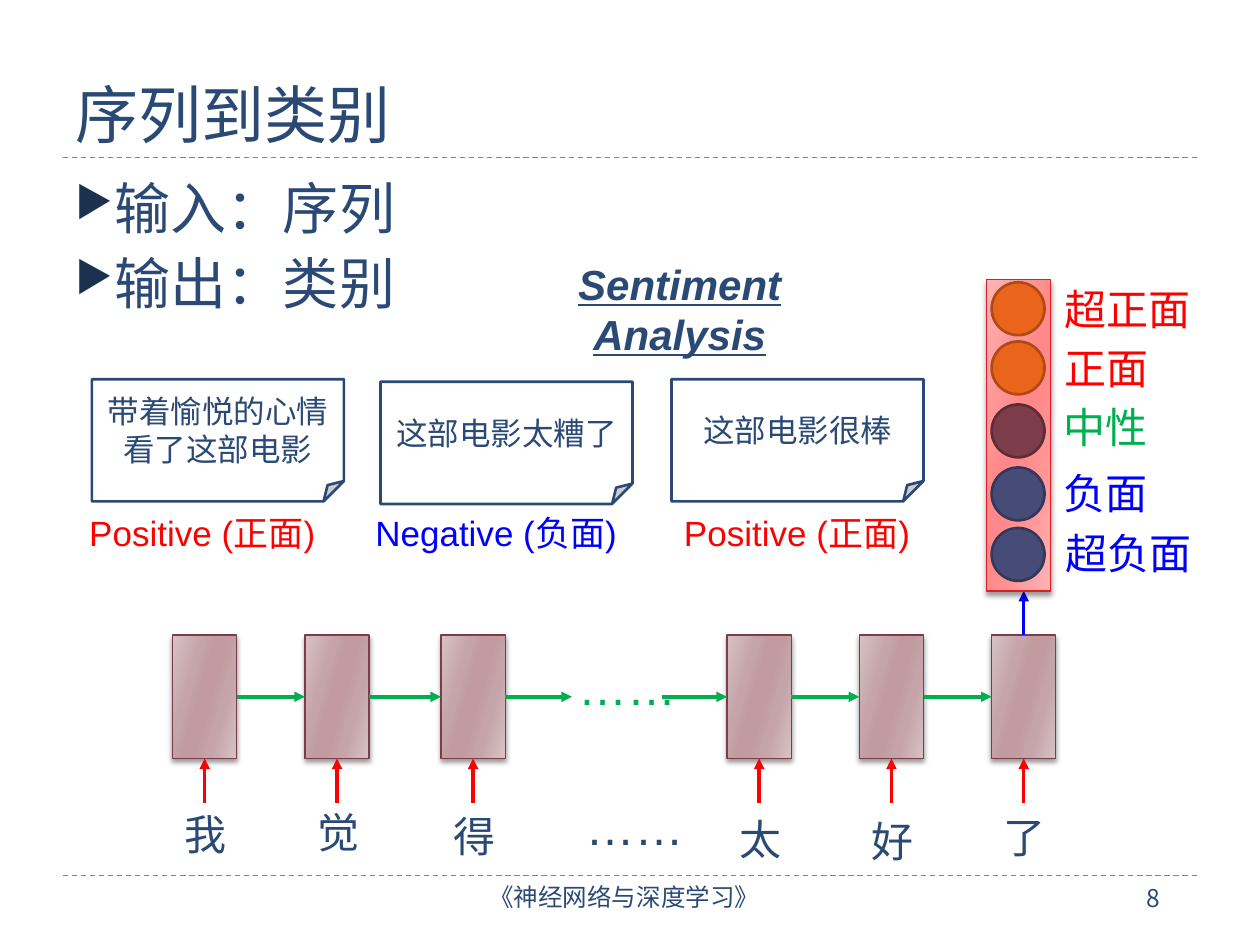
from lxml import etree
from pptx import Presentation
from pptx.dml.color import RGBColor
from pptx.enum import dml, shapes, text
from pptx.oxml.ns import qn
from pptx.util import Inches, Pt

COLORS = {
    "navy": "2A4A75", "bullet": "1C314E", "rule": "EB641B",
    "red": "FF0000", "green": "00B050", "blue": "0000FF", "white": "FFFFFF",
    "cell_line": "7D3C4A", "panel_line": "DA1F28",
    "orange": "EB641B", "orange_line": "AE4A14",
    "wine": "7D3C4A", "wine_line": "5C2C37",
    "indigo": "474B78", "indigo_line": "353759",
}
CELL_TINTS = ("D7C2C5", "C6A5AA", "C19BA0")  # edge, middle, core
PANEL_TINTS = ("FFB5B6", "FF9596", "FF898A")
CJK, LATIN = "Noto Sans CJK SC", "Arial"

TITLE = "序列到类别"
BULLETS = ["输入：序列", "输出：类别"]
HEADING = "Sentiment Analysis"
FOOTER, PAGE = "《神经网络与深度学习》", "8"
DOTS = "……"
# note left, note top, sentence, verdict left, verdict, colour
REVIEWS = [
    (0.73, 3.01, "带着愉悦的心情看了这部电影", 0.61, "Positive (正面)", "red"),
    (3.02, 3.03, "这部电影太糟了", 2.88, "Negative (负面)", "blue"),
    (5.33, 3.01, "这部电影很棒", 5.33, "Positive (正面)", "red"),
]
# cell left, word, word top
WORDS = [
    (1.37, "我", 6.37), (2.42, "觉", 6.35), (3.5, "得", 6.38),
    (5.77, "太", 6.41), (6.82, "好", 6.42), (7.87, "了", 6.39),
]
# label, label left, label top, width, label colour, circle top, circle colour
CLASSES = [
    ("超正面", 8.35, 2.2, 1.21, "red", 2.24, "orange"),
    ("正面", 8.35, 2.67, 0.88, "red", 2.71, "orange"),
    ("中性", 8.34, 3.14, 0.88, "green", 3.21, "wine"),
    ("负面", 8.34, 3.66, 0.88, "blue", 3.71, "indigo"),
    ("超负面", 8.36, 4.14, 1.21, "blue", 4.19, "indigo"),
]
CELL_W, CELL_TOP, CELL_H = 0.51, 5.04, 0.98
GAP_AFTER = 2  # the dots stand after this cell

prs = Presentation()
prs.slide_width, prs.slide_height = Inches(10), Inches(7.5)
slide = prs.slides.add_slide(prs.slide_layouts[6])


def rgb(name):
    return RGBColor.from_string(COLORS[name])


def add_xml(parent, tag, **attributes):
    return etree.SubElement(parent, qn(tag), {k: str(v) for k, v in attributes.items()})


def style(paragraph, size, color, font):
    paragraph.font.size = Pt(size)
    paragraph.font.color.rgb = rgb(color)
    paragraph.font.name = font
    if font == CJK:
        for run in paragraph.runs:
            add_xml(run._r.get_or_add_rPr(), "a:ea", typeface=CJK)


def add_text(lines, box, size, color="navy", font=LATIN, align=None, wrap=True, grow=True):
    frame = slide.shapes.add_textbox(*map(Inches, box)).text_frame
    frame.text = "\n".join(lines) if isinstance(lines, list) else lines
    frame.word_wrap = wrap
    frame.auto_size = text.MSO_AUTO_SIZE.SHAPE_TO_FIT_TEXT if grow else text.MSO_AUTO_SIZE.NONE
    for paragraph in frame.paragraphs:
        style(paragraph, size, color, font)
        paragraph.alignment = align
    return frame


def add_shape(kind, box, line, width, fill=None, parent=slide):
    shape = parent.shapes.add_shape(kind, *map(Inches, box))
    shape.shadow.inherit = False
    shape.line.color.rgb = rgb(line)
    shape.line.width = Pt(width)
    if fill:
        shape.fill.solid()
        shape.fill.fore_color.rgb = rgb(fill)
    return shape


def add_glossy(box, line, tints, parent=slide):
    """Rectangle with a mirrored gradient and a soft shadow below."""
    shape = add_shape(shapes.MSO_SHAPE.RECTANGLE, box, line, 0.75, parent=parent)
    shape.fill.gradient()
    properties = shape._element.spPr
    stops = properties.find(".//" + qn("a:gsLst"))
    stops.clear()
    for position, tint in zip((0, 30, 45, 55, 73, 100), tints + tints[::-1]):
        stop = add_xml(stops, "a:gs", pos=position * 1000)
        add_xml(stop, "a:srgbClr", val=tint)
    properties.find(".//" + qn("a:lin")).set("ang", str(16 * 60000))
    shadow = add_xml(properties.find(qn("a:effectLst")), "a:outerShdw",
                     blurRad=Pt(3), dist=Pt(2), dir=90 * 60000, rotWithShape=0)
    add_xml(add_xml(shadow, "a:srgbClr", val="000000"), "a:alpha", val=40000)
    return shape


def add_line(start, end, color, width):
    line = slide.shapes.add_connector(shapes.MSO_CONNECTOR.STRAIGHT, *map(Inches, start + end))
    line.line.color.rgb = rgb(color)
    line.line.width = Pt(width)
    add_xml(line._element.spPr, "a:effectLst")
    return line


def add_arrow(start, end, color):
    arrow = add_line(start, end, color, 2)
    add_xml(arrow.line._get_or_add_ln(), "a:tailEnd", type="triangle")
    return arrow


# Frame of the page
for rule_y in (1.25, 6.95):
    add_line((0.5, rule_y), (9.5, rule_y), "rule", 0.75).line.dash_style = dml.MSO_LINE.DASH
footer = add_text(FOOTER, (3.33, 6.96, 3.25, 0.4), 14, font=CJK,
                  align=text.PP_ALIGN.CENTER, grow=False)
footer.margin_left = footer.margin_right = Inches(0.07)
footer.margin_top = footer.margin_bottom = Inches(0.04)
add_text(PAGE, (9, 6.96, 0.41, 0.34), 14, font=CJK, wrap=False)
title = add_text(TITLE, (0.5, 0.17, 9, 1.08), 36, font=CJK, grow=False)
title.vertical_anchor = text.MSO_ANCHOR.BOTTOM

body = add_text(BULLETS, (0.5, 1.33, 9, 5.4), 32, font=CJK, grow=False)
for item in body.paragraphs:
    item.space_before = Pt(4.5)
    settings = item._p.get_or_add_pPr()
    settings.set("marL", str(Inches(0.22)))
    settings.set("indent", str(-Inches(0.22)))
    marks = [etree.Element(qn(tag)) for tag in ("a:buClr", "a:buSzPct", "a:buChar")]
    add_xml(marks[0], "a:srgbClr", val=COLORS["bullet"])
    marks[1].set("val", "76000")
    marks[2].set("char", "▶")
    for mark in marks:
        settings.insert(list(settings).index(settings.find(qn("a:defRPr"))), mark)

heading = add_text(HEADING, (3.91, 2, 2.97, 0.5), 24, align=text.PP_ALIGN.CENTER)
heading_font = heading.paragraphs[0].font
heading_font.bold = heading_font.italic = heading_font.underline = True

# Recurrent cells with their words
cells = []
for left, word, word_top in WORDS:
    cell = add_glossy((left, CELL_TOP, CELL_W, CELL_H), "cell_line", CELL_TINTS)
    cells.append(cell)
    middle = left + CELL_W / 2
    add_arrow((middle, 6.37), (middle, CELL_TOP + CELL_H), "red").end_connect(cell, 2)
    add_text(word, (left, word_top, 0.54, 0.5), 24, wrap=False)

chain_y = CELL_TOP + CELL_H / 2
for i, (before, after) in enumerate(zip(cells, cells[1:])):
    start, end = WORDS[i][0] + CELL_W, WORDS[i + 1][0]
    if i == GAP_AFTER:
        add_arrow((start, chain_y), (start + 0.53, chain_y), "green").begin_connect(before, 3)
        add_arrow((end - 0.52, chain_y), (end, chain_y), "green").end_connect(after, 1)
    else:
        arrow = add_arrow((start, chain_y), (end, chain_y), "green")
        arrow.begin_connect(before, 3)
        arrow.end_connect(after, 1)
add_text(DOTS, (4.49, 5.16, 1.21, 0.57), 28, "green")
add_text(DOTS, (4.55, 6.27, 1.21, 0.57), 28)

# Output classes
output_x = WORDS[-1][0] + CELL_W / 2
add_arrow((output_x, CELL_TOP), (output_x, 4.69), "blue").begin_connect(cells[-1], 0)
output = slide.shapes.add_group_shape()
add_glossy((7.83, 2.22, 0.51, 2.47), "panel_line", PANEL_TINTS, output)
for label, left, top, width, color, circle_top, circle in CLASSES:
    add_shape(shapes.MSO_SHAPE.OVAL, (7.87, circle_top, 0.42, 0.42),
              circle + "_line", 1.5, circle, output)
    add_text(label, (left, top, width, 0.5), 24, color, wrap=False)

# Example reviews
for left, top, sentence, verdict_left, verdict, color in REVIEWS:
    note = add_shape(shapes.MSO_SHAPE.FOLDED_CORNER, (left, top, 2, 0.97), "navy", 1.5, "white")
    note.text_frame.text = sentence
    note.text_frame.vertical_anchor = text.MSO_ANCHOR.MIDDLE
    note.text_frame.paragraphs[0].alignment = text.PP_ALIGN.CENTER
    style(note.text_frame.paragraphs[0], 18, "navy", LATIN)
    add_text(verdict, (verdict_left, 4.01, 2.35, 0.44), 20, color)

prs.save("out.pptx")
